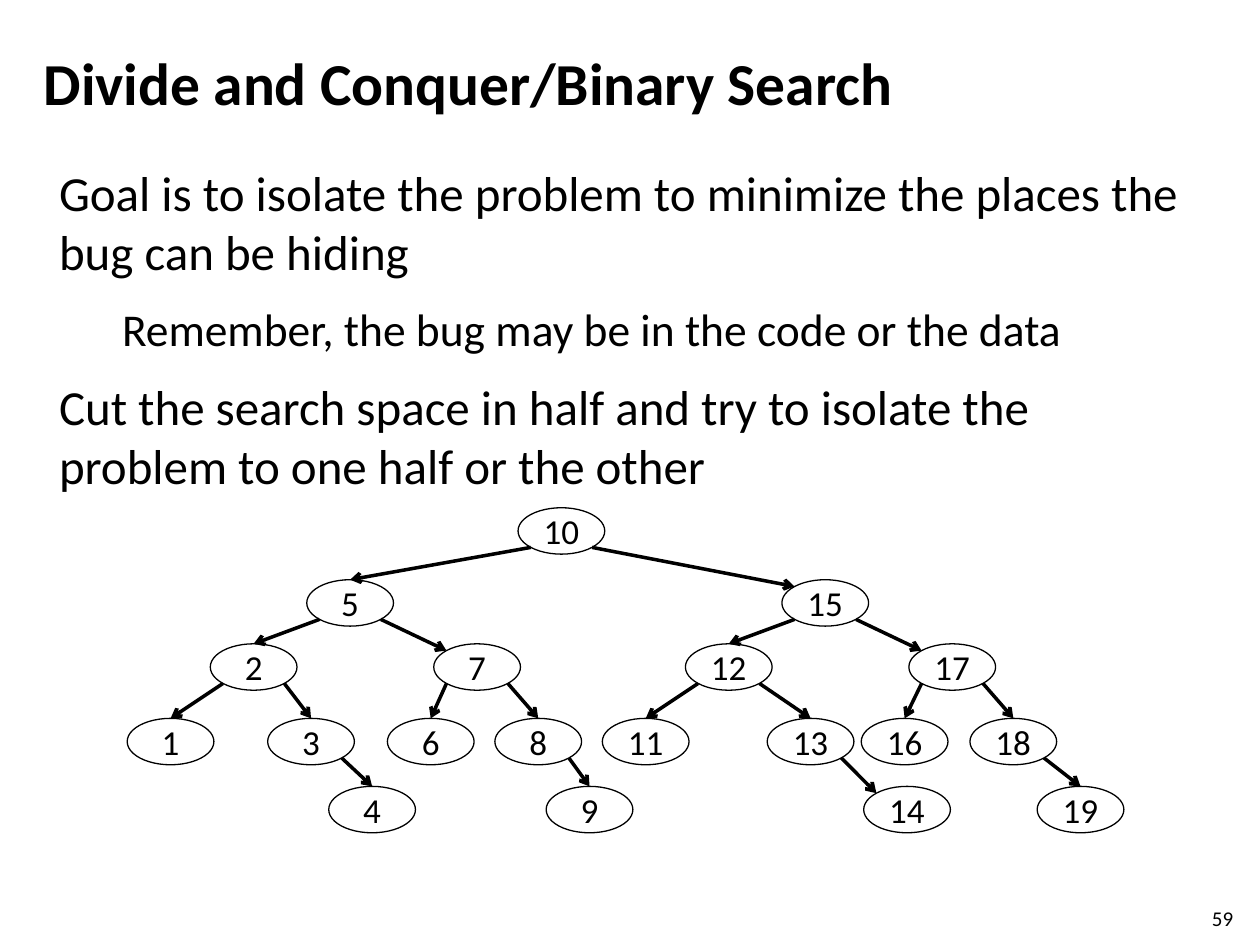
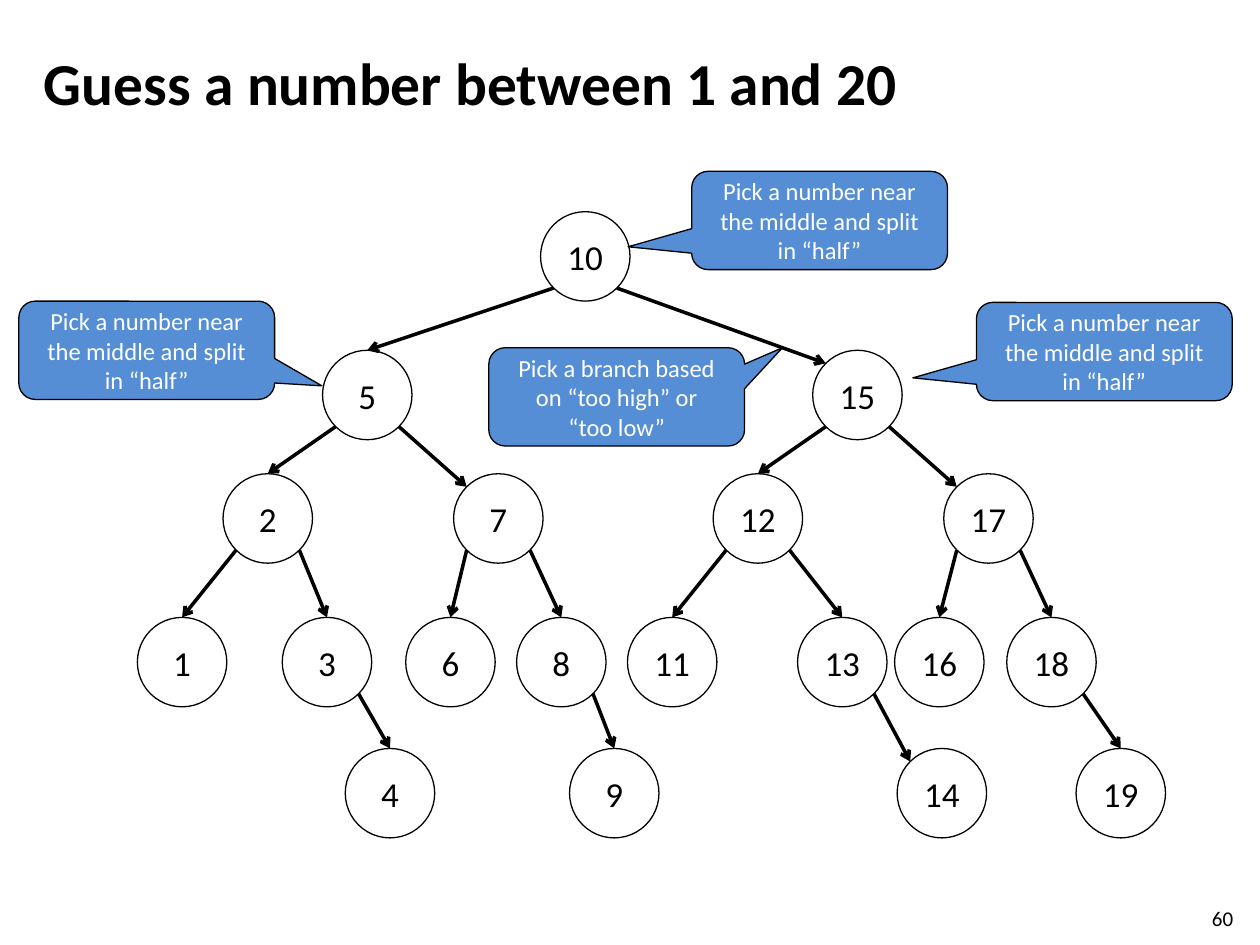
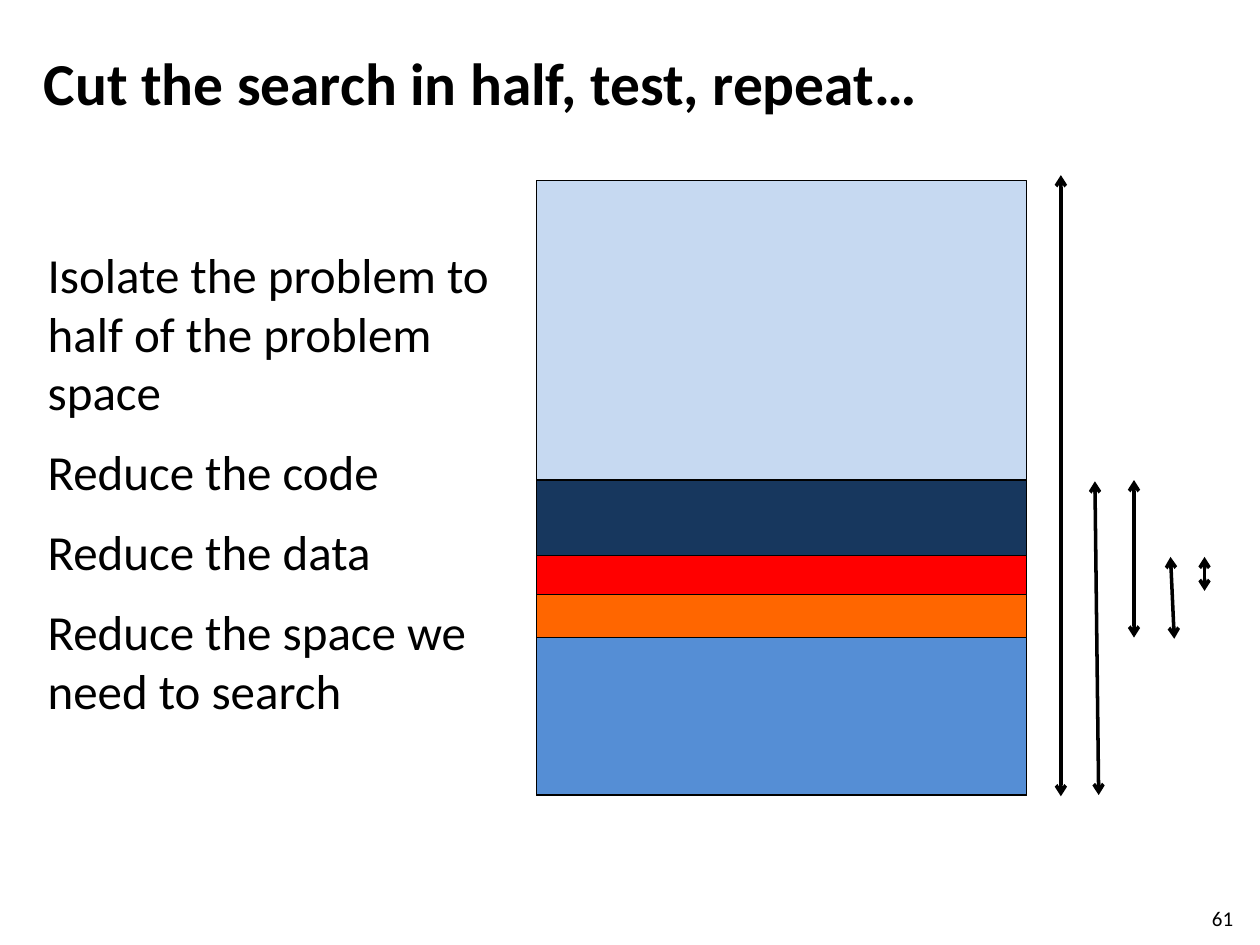
from dataclasses import dataclass
from itertools import pairwise

from lxml import etree
from pptx import Presentation
from pptx.dml.color import RGBColor
from pptx.enum.shapes import MSO_CONNECTOR, MSO_SHAPE
from pptx.enum.text import MSO_ANCHOR as ANCHOR, PP_ALIGN as ALIGN
from pptx.oxml.ns import qn
from pptx.util import Inches, Pt


@dataclass(frozen=True)
class Theme:
    font: str = "Calibri"
    ink: str = "000000"
    white: str = "FFFFFF"
    pale: str = "C6D9F1"
    blue: str = "558ED5"
    navy: str = "17375E"
    red: str = "FF0000"
    orange: str = "FF6600"
    title: int = 34
    body: int = 28
    sub: int = 26
    node: int = 20
    callout: int = 14
    number: int = 12
    outline: float = 0.75
    arrow: float = 2


T = Theme()
TITLE_BOX = (0.25, 0.3, 8.67, 0.7)
NUMBER_BOX = (9.52, 7.14, 0.4, 0.24)

# Tree on its own grid: value -> (left, level, parent)
TREE_W, TREE_H, NODE = 8.16, 4.97, 0.71
LEVEL_TOPS = (0, 1.1, 2.08, 3.22, 4.26)
TREE = {
    10: (3.2, 0, None),
    5: (1.47, 1, 10), 15: (5.36, 1, 10),
    2: (0.68, 2, 5), 7: (2.51, 2, 5), 12: (4.57, 2, 15), 17: (6.4, 2, 15),
    1: (0, 3, 2), 3: (1.15, 3, 2), 6: (2.13, 3, 7), 8: (3.01, 3, 7),
    11: (3.89, 3, 12), 13: (5.24, 3, 12), 16: (6.01, 3, 17), 18: (6.9, 3, 17),
    4: (1.65, 4, 3), 9: (3.43, 4, 8), 14: (6.03, 4, 13), 19: (7.45, 4, 18),
}
CORNER_ENTRY = {7, 14, 15, 17}  # arrows that end at the upper left of the node
DIAGONAL = 0.854  # where the 45-degree point of an ellipse lies in its box

SPLIT = "Pick a number near the middle and split in “half”"
BRANCH = "Pick a branch based on “too high” or\v“too low”"


def write(tf, *texts, size=T.body, color=T.ink, bold=False, align=ALIGN.LEFT,
          anchor=ANCHOR.TOP, after=0, inset=None):
    """Fill a text frame; a (text, size, indent) tuple makes a sub-item."""
    tf.word_wrap = True
    tf.vertical_anchor = anchor
    if inset is not None:
        tf.margin_left = tf.margin_right = tf.margin_top = tf.margin_bottom = Inches(inset)
    for i, item in enumerate(texts):
        text, pts, indent = item if isinstance(item, tuple) else (item, size, 0)
        p = tf.add_paragraph() if i else tf.paragraphs[0]
        p.text = text
        p.alignment = align
        p.space_after = Pt(after)
        if indent:
            pPr = p._p.get_or_add_pPr()
            pPr.set("marL", str(Inches(indent)))
            pPr.set("indent", "0")
        for r in p.runs:
            r.font.name = T.font
            r.font.size = Pt(pts)
            r.font.bold = bold
            r.font.color.rgb = RGBColor.from_string(color)


def add_text(slide, box, *texts, **fmt):
    write(slide.shapes.add_textbox(*map(Inches, box)).text_frame, *texts, **fmt)


def add_box(shapes, kind, box, fill=None):
    sp = shapes.add_shape(kind, *map(Inches, box))
    sp.shadow.inherit = False
    if fill:
        sp.fill.solid()
        sp.fill.fore_color.rgb = RGBColor.from_string(fill)
    else:
        sp.fill.background()
    sp.line.color.rgb = RGBColor.from_string(T.ink)
    sp.line.width = Pt(T.outline)
    return sp


def add_arrow(shapes, start, end, both=False):
    cxn = shapes.add_connector(MSO_CONNECTOR.STRAIGHT, *map(Inches, (*start, *end)))
    cxn.line.color.rgb = RGBColor.from_string(T.ink)
    cxn.line.width = Pt(T.arrow)
    ln = cxn.line._get_or_add_ln()
    for tag in ("a:headEnd", "a:tailEnd") if both else ("a:tailEnd",):
        etree.SubElement(ln, qn(tag)).set("type", "arrow")
    etree.SubElement(cxn._element.spPr, qn("a:effectLst"))


def draw_tree(shapes, box):
    """Stretch the search tree over the box."""
    left, top, width, height = box
    sx, sy = width / TREE_W, height / TREE_H

    def on_node(value, fx, fy):
        x, level, _ = TREE[value]
        return left + (x + fx * NODE) * sx, top + (LEVEL_TOPS[level] + fy * NODE) * sy

    for value, (_, _, parent) in TREE.items():
        sp = add_box(shapes, MSO_SHAPE.OVAL, (*on_node(value, 0, 0), NODE * sx, NODE * sy))
        write(sp.text_frame, str(value), size=T.node, align=ALIGN.CENTER,
              anchor=ANCHOR.MIDDLE, inset=0)
        if parent:
            side = 1 - DIAGONAL if value < parent else DIAGONAL
            entry = (1 - DIAGONAL, 1 - DIAGONAL) if value in CORNER_ENTRY else (0.5, 0)
            add_arrow(shapes, on_node(parent, side, DIAGONAL), on_node(value, *entry))


def draw_callout(slide, left, top, pointer, text):
    sp = add_box(slide.shapes, MSO_SHAPE.ROUNDED_RECTANGULAR_CALLOUT,
                 (left, top, 2.03, 0.78), T.blue)
    for i, value in enumerate((*pointer, 0.167)):
        sp.adjustments[i] = value
    write(sp.text_frame, text, size=T.callout, color=T.white, align=ALIGN.CENTER,
          anchor=ANCHOR.MIDDLE)


def draw_search_space(shapes, box):
    """Draw the whole space, the parts it is cut into, and the range left at each step."""
    left, top, width, height = box
    add_box(shapes, MSO_SHAPE.RECTANGLE, box, T.pale)
    cuts = (2.38, 2.98, 3.29, 3.63, height)
    for (start, end), color in zip(pairwise(cuts), (T.navy, T.red, T.orange, T.blue)):
        add_box(shapes, MSO_SHAPE.RECTANGLE, (left, top + start, width, end - start), color)

    ranges = (  # gap from the block, start, end, sideways drift
        (0.27, -0.04, 4.89, 0), (0.54, 2.39, 4.88, 0.03), (0.85, 2.38, 3.63, 0),
        (1.14, 2.99, 3.64, 0.03), (1.41, 2.99, 3.26, 0))
    for gap, start, end, drift in ranges:
        x = left + width + gap
        add_arrow(shapes, (x, top + start), (x + drift, top + end), both=True)


def new_slide(prs, title, number):
    slide = prs.slides.add_slide(prs.slide_layouts[6])
    add_text(slide, TITLE_BOX, title, size=T.title, bold=True, anchor=ANCHOR.MIDDLE)
    add_text(slide, NUMBER_BOX, str(number), size=T.number)
    return slide


def divide_slide(prs, number):
    slide = new_slide(prs, "Divide and Conquer/Binary Search", number)
    add_text(slide, (0.37, 1.24, 9.25, 4.93),
             "Goal is to isolate the problem to minimize the places the bug can be hiding",
             ("Remember, the bug may be in the code or the data", T.sub, 0.5),
             "Cut the search space in half and try to isolate the problem to one half or the other",
             after=12)
    draw_tree(slide.shapes.add_group_shape().shapes, (1.01, 4.03, 7.91, 2.58))


def guess_slide(prs, number):
    slide = new_slide(prs, "Guess a number between 1 and 20", number)
    draw_tree(slide.shapes, (1.09, 1.68, TREE_W, TREE_H))
    draw_callout(slide, 5.49, 1.36, (-0.749, 0.268), SPLIT)
    draw_callout(slide, 3.88, 2.76, (0.648, -0.5), BRANCH)
    draw_callout(slide, 7.75, 2.4, (-0.749, 0.268), SPLIT)
    draw_callout(slide, 0.15, 2.39, (0.685, 0.362), SPLIT)


def halving_slide(prs, number):
    slide = new_slide(prs, "Cut the search in half, test, repeat…", number)
    add_text(slide, (0.28, 1.89, 3.81, 3.4),
             "Isolate the problem to half of the problem space", "Reduce the code",
             "Reduce the data", "Reduce the space we need to search", after=12)
    draw_search_space(slide.shapes, (4.26, 1.43, 3.89, 4.88))


def main():
    prs = Presentation()
    prs.slide_width, prs.slide_height = Inches(10), Inches(7.5)
    for number, build in enumerate((divide_slide, guess_slide, halving_slide), 59):
        build(prs, number)
    prs.save("out.pptx")


if __name__ == "__main__":
    main()
